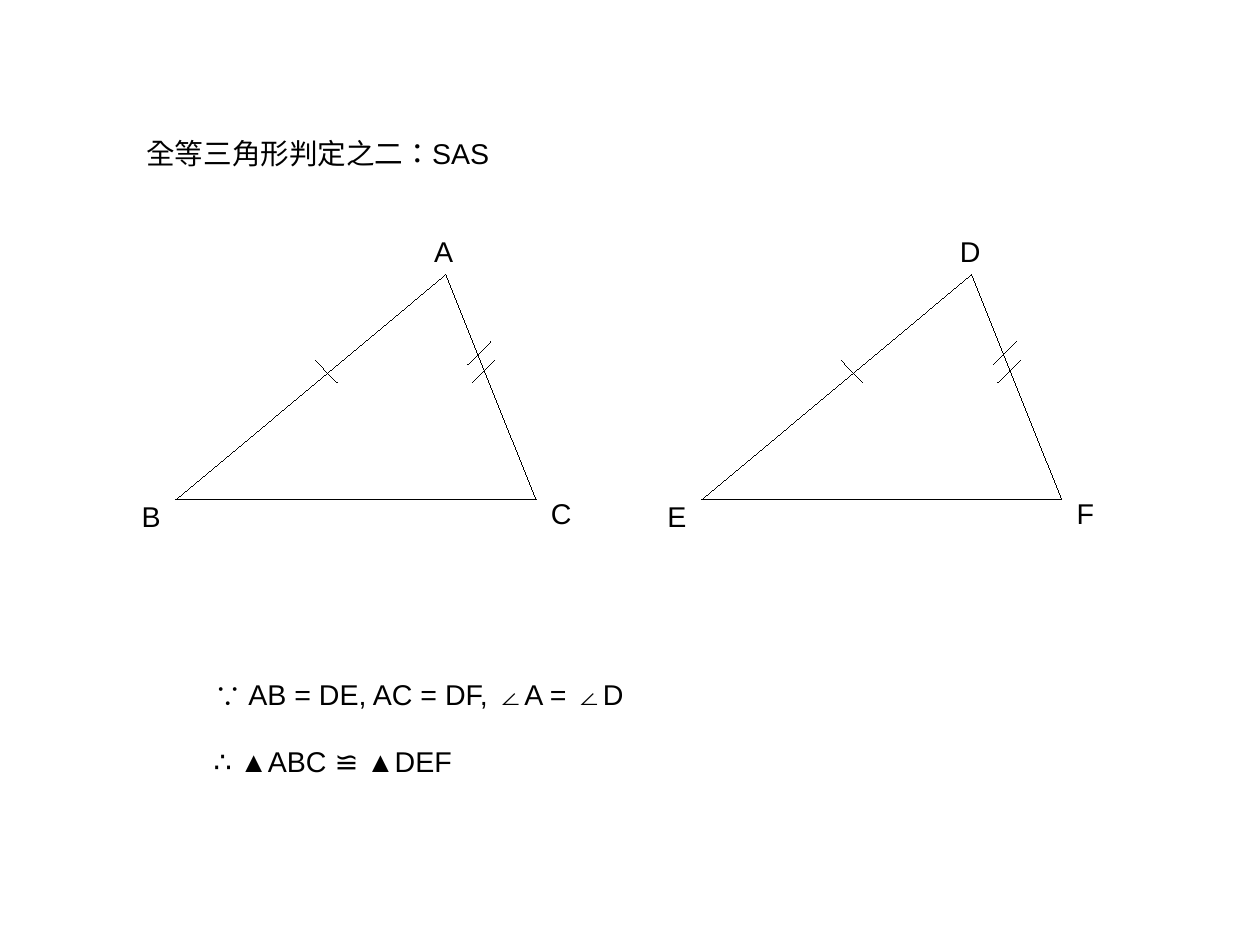
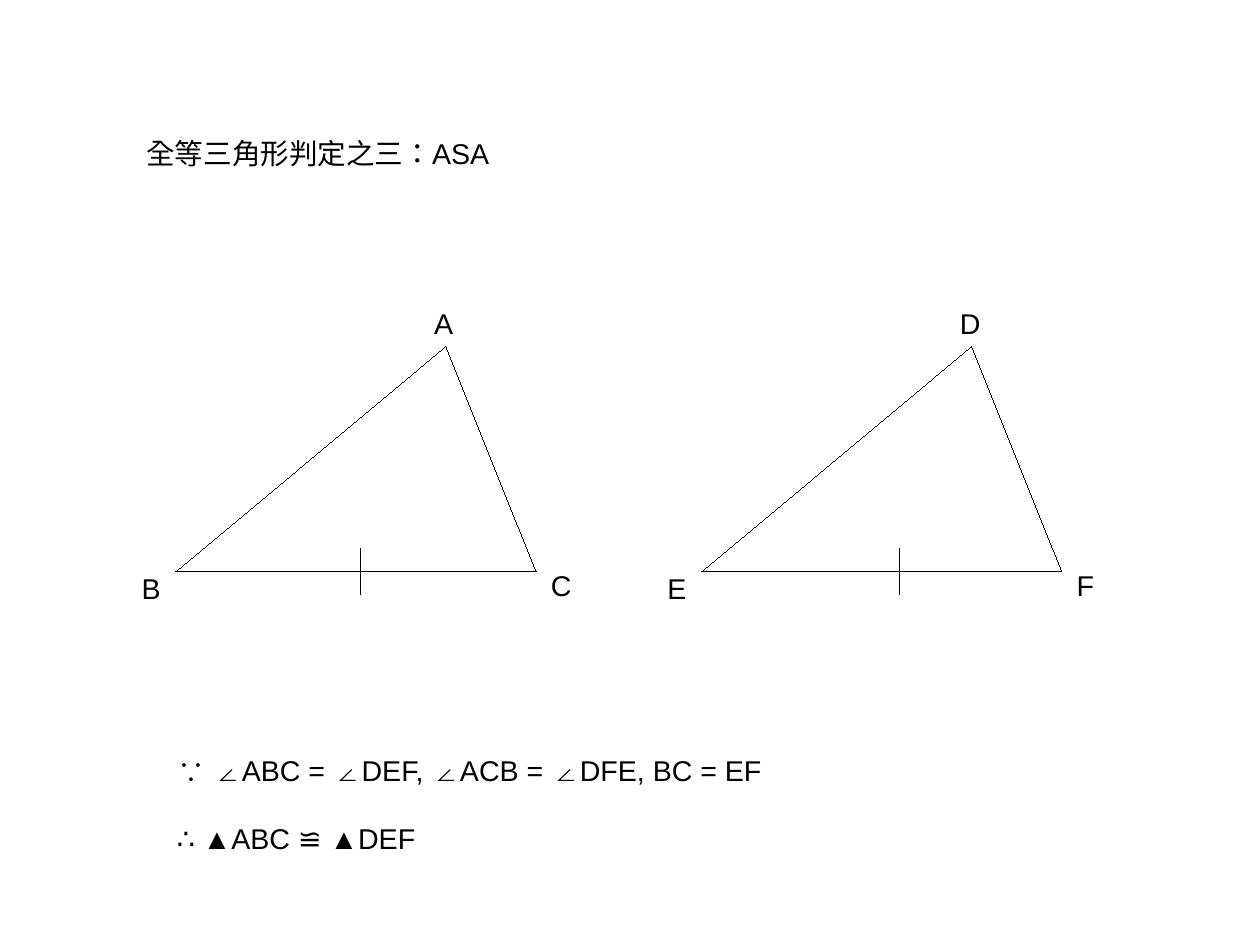
from dataclasses import dataclass

from lxml import etree
from pptx import Presentation
from pptx.dml.color import RGBColor
from pptx.enum.lang import MSO_LANGUAGE_ID
from pptx.enum.shapes import MSO_CONNECTOR
from pptx.enum.text import MSO_ANCHOR, MSO_AUTO_SIZE, PP_ALIGN
from pptx.oxml.ns import qn
from pptx.slide import Slide
from pptx.text.text import TextFrame
from pptx.util import Cm, Inches, Pt

STRAIGHT = MSO_CONNECTOR.STRAIGHT
TOP = MSO_ANCHOR.TOP
LEFT = PP_ALIGN.LEFT
NO_AUTOFIT = MSO_AUTO_SIZE.NONE
TITLE_LANGUAGE = MSO_LANGUAGE_ID.TRADITIONAL_CHINESE

COLOURS = {"ink": "000000"}
FONT = "Arial"
FONT_SIZE = Pt(18)
PROOF_GAP = Pt(21)
TITLE_ONLY = 5

Point = tuple[float, float]
Segment = tuple[Point, Point]

APEX_XS = (3.9, 8.5)
CORNERS: tuple[Point, ...] = ((0, 0), (-2.36, 1.97), (0.79, 1.97))
LETTER_OFFSETS: tuple[Point, ...] = ((-0.2, -0.4), (-2.76, 1.92), (0.82, 1.89))
LETTERS = ("ABC", "DEF")

SAS_MARKS: tuple[Segment, ...] = (
    ((-1.14, 0.75), (-0.95, 0.95)),
    ((0.39, 0.59), (0.19, 0.79)),
    ((0.43, 0.75), (0.23, 0.95)),
)


def base_mark(x: float) -> tuple[Segment, ...]:
    return (((x, 1.77), (x, 2.17)),)


@dataclass(frozen=True)
class Criterion:
    title: str
    apex_y: float
    marks: tuple[tuple[Segment, ...], ...]
    proof: tuple[str, str]
    proof_at: Point


CRITERIA = (
    Criterion(
        "全等三角形判定之二：SAS",
        2.4,
        (SAS_MARKS, SAS_MARKS),
        ("∵ AB = DE, AC = DF, ∠A = ∠D", "∴ ▲ABC ≌ ▲DEF"),
        (1.77, 5.87),
    ),
    Criterion(
        "全等三角形判定之三：ASA",
        3.03,
        (base_mark(-0.75), base_mark(-0.63)),
        ("∵ ∠ABC = ∠DEF, ∠ACB = ∠DFE, BC = EF", "∴ ▲ABC ≌ ▲DEF"),
        (1.45, 6.54),
    ),
)


def write(frame: TextFrame, text: str) -> None:
    frame.text = text
    frame.word_wrap = True
    frame.auto_size = NO_AUTOFIT
    frame.vertical_anchor = TOP
    for paragraph in frame.paragraphs:
        paragraph.alignment = LEFT
        for run in paragraph.runs:
            run.font.name = FONT
            run.font.size = FONT_SIZE
            run.font.color.rgb = RGBColor.from_string(COLOURS["ink"])


def add_text(slide: Slide, at: Point, size: Point, text: str) -> TextFrame:
    box = slide.shapes.add_textbox(*map(Inches, at + size))
    write(box.text_frame, text)
    return box.text_frame


def add_line(slide: Slide, apex: Point, start: Point, end: Point) -> None:
    ends = [Inches(origin + offset) for point in (start, end) for origin, offset in zip(apex, point)]
    line = slide.shapes.add_connector(STRAIGHT, *ends)
    line.line.color.rgb = RGBColor.from_string(COLOURS["ink"])
    properties = line._element.spPr
    properties.find(qn("a:ln")).set("w", "0")
    etree.SubElement(properties, qn("a:effectLst"))


def add_triangle(slide: Slide, apex: Point, letters: str, marks: tuple[Segment, ...]) -> None:
    sides = tuple(zip(CORNERS, CORNERS[1:] + CORNERS[:1]))
    for start, end in sides + marks:
        add_line(slide, apex, start, end)
    for letter, (dx, dy) in zip(letters, LETTER_OFFSETS):
        add_text(slide, (apex[0] + dx, apex[1] + dy), (0.38, 0.38), letter)


def add_criterion(presentation: Presentation, criterion: Criterion) -> None:
    slide = presentation.slides.add_slide(presentation.slide_layouts[TITLE_ONLY])
    title = slide.shapes.title
    title.left, title.top, title.width, title.height = map(Inches, (1.18, 1.14, 3.4, 0.46))
    write(title.text_frame, criterion.title)
    title.text_frame.paragraphs[0].runs[0].font.language_id = TITLE_LANGUAGE
    for x, letters, marks in zip(APEX_XS, LETTERS, criterion.marks):
        add_triangle(slide, (x, criterion.apex_y), letters, marks)
    proof = add_text(slide, criterion.proof_at, (6.42, 0.94), "\n".join(criterion.proof))
    proof.paragraphs[1].space_before = PROOF_GAP


def main() -> None:
    presentation = Presentation()
    presentation.slide_width = Cm(28)
    presentation.slide_height = Cm(21)
    for criterion in CRITERIA:
        add_criterion(presentation, criterion)
    presentation.save("out.pptx")


if __name__ == "__main__":
    main()
